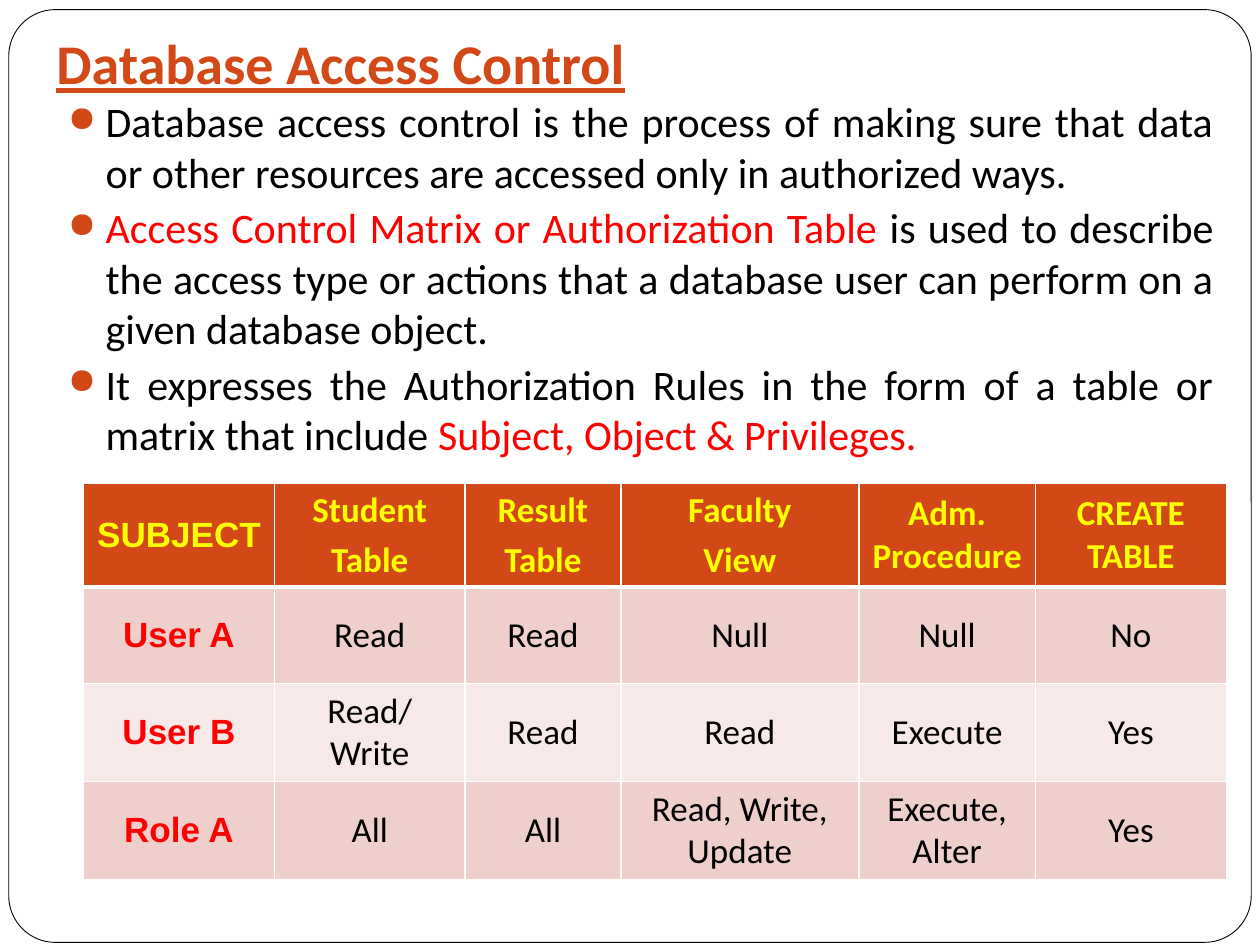
from dataclasses import dataclass

from lxml import etree
from pptx import Presentation
from pptx import util as u
from pptx.dml import color
from pptx.enum import shapes, text
from pptx.oxml import ns

ORANGE, RED, YELLOW = "D34817", "FF0000", "FFFF00"
BLACK, WHITE = "000000", "FFFFFF"
BANDS = ("EFCFCC", "F7E9E8")
CENTER = text.PP_ALIGN.CENTER


@dataclass(frozen=True)
class Style:
    size: float
    colour: str
    font: str = "Calibri"
    bold: bool = False
    underline: bool = False


@dataclass(frozen=True)
class Phrase:
    wording: str
    colour: str = BLACK


TITLE = Style(32, ORANGE, bold=True, underline=True)
HEADING = Style(20, YELLOW, bold=True)
CORNER = Style(20, YELLOW, "Arial", True)
SUBJECT = Style(20, RED, "Arial", True)
PRIVILEGE = Style(20, BLACK)

POINTS = [
    [Phrase("Database access control is the process of making sure that data or "
            "other resources are accessed only in authorized ways.")],
    [Phrase("Access Control Matrix or Authorization Table ", RED),
     Phrase("is used to describe the access type or actions that a database user "
            "can perform on a given database object.")],
    [Phrase("It expresses the Authorization Rules in the form of a table or matrix "
            "that include "),
     Phrase("Subject, Object & Privileges.", RED)],
]
MATRIX = [
    ["SUBJECT", "Student\nTable", "Result\nTable", "Faculty\nView",
     "Adm. Procedure", "CREATE TABLE"],
    ["User A", "Read", "Read", "Null", "Null", "No"],
    ["User B", "Read/\nWrite", "Read", "Read", "Execute", "Yes"],
    ["Role A", "All", "All", "Read, Write, Update", "Execute,\nAlter", "Yes"],
]
COLUMN_WIDTHS = (109, 109, 89, 136, 101, 109)
ROW_HEIGHTS = (59.5, 55, 56, 56)


def rgb(value: str) -> color.RGBColor:
    return color.RGBColor.from_string(value)


def format_run(run, style: Style) -> None:
    run.font.name = style.font
    run.font.size = u.Pt(style.size)
    run.font.bold = style.bold
    run.font.underline = style.underline
    run.font.color.rgb = rgb(style.colour)


def add_bullet(paragraph, colour: str) -> None:
    props = paragraph._p.get_or_add_pPr()
    props.set("marL", str(u.Pt(21.6)))
    props.set("indent", str(u.Pt(-21.6)))
    bullet_colour = etree.SubElement(props, ns.qn("a:buClr"))
    etree.SubElement(bullet_colour, ns.qn("a:srgbClr"), val=colour)
    etree.SubElement(props, ns.qn("a:buSzPct"), val="85000")
    etree.SubElement(props, ns.qn("a:buChar"), char="●")


def add_borders(cell, bottom_width: float) -> None:
    props = cell._tc.get_or_add_tcPr()
    for side, width in (("L", 1), ("R", 1), ("T", 1), ("B", bottom_width)):
        line = etree.SubElement(props, ns.qn(f"a:ln{side}"), w=str(u.Pt(width)))
        fill = etree.SubElement(line, ns.qn("a:solidFill"))
        etree.SubElement(fill, ns.qn("a:srgbClr"), val=WHITE)


def add_frame(slide) -> None:
    frame = slide.shapes.add_shape(shapes.MSO_SHAPE.ROUNDED_RECTANGLE,
                                   u.Pt(5), u.Pt(5.5), u.Pt(710), u.Pt(533))
    frame.shadow.inherit = False
    frame.adjustments[0] = 0.05
    frame.fill.solid()
    frame.fill.fore_color.rgb = rgb(WHITE)
    frame.line.color.rgb = rgb(BLACK)
    frame.line.width = u.Pt(0.5)


def add_title(slide, wording: str) -> None:
    title = slide.shapes.add_textbox(u.Pt(25.2), u.Pt(20.2), u.Pt(618), u.Pt(41.8)).text_frame
    title.word_wrap = True
    title.vertical_anchor = text.MSO_ANCHOR.BOTTOM
    title.margin_bottom = u.Pt(7.2)
    title.text = wording
    format_run(title.paragraphs[0].runs[0], TITLE)


def add_points(slide, points: list[list[Phrase]]) -> None:
    body = slide.shapes.add_textbox(u.Pt(31.7), u.Pt(51.1), u.Pt(669), u.Pt(479.5)).text_frame
    body.word_wrap = True
    for index, phrases in enumerate(points):
        paragraph = body.add_paragraph() if index else body.paragraphs[0]
        paragraph.alignment = text.PP_ALIGN.JUSTIFY
        if index:
            paragraph.space_before = u.Pt(3)
        add_bullet(paragraph, ORANGE)
        for phrase in phrases:
            run = paragraph.add_run()
            run.text = phrase.wording
            format_run(run, Style(24, phrase.colour))


def fill_cell(cell, wording: str, style: Style, background: str, is_header: bool) -> None:
    add_borders(cell, 3 if is_header else 1)
    cell.fill.solid()
    cell.fill.fore_color.rgb = rgb(background)
    cell.vertical_anchor = text.MSO_ANCHOR.MIDDLE
    cell.text_frame.text = wording
    for index, paragraph in enumerate(cell.text_frame.paragraphs):
        paragraph.alignment = CENTER
        if is_header and index:
            paragraph.space_before = u.Pt(4)
        for run in paragraph.runs:
            format_run(run, style)


def add_matrix(slide, rows: list[list[str]]) -> None:
    matrix = slide.shapes.add_table(len(rows), len(rows[0]), u.Pt(47.8), u.Pt(276),
                                    u.Pt(sum(COLUMN_WIDTHS)), u.Pt(sum(ROW_HEIGHTS))).table
    for column, width in zip(matrix.columns, COLUMN_WIDTHS):
        column.width = u.Pt(width)
    for r, (row, height) in enumerate(zip(rows, ROW_HEIGHTS)):
        matrix.rows[r].height = u.Pt(height)
        is_header = r == 0
        background = ORANGE if is_header else BANDS[(r - 1) % 2]
        first, others = (CORNER, HEADING) if is_header else (SUBJECT, PRIVILEGE)
        for c, wording in enumerate(row):
            fill_cell(matrix.cell(r, c), wording, others if c else first,
                      background, is_header)


def main() -> None:
    deck = Presentation()
    deck.slide_width, deck.slide_height = u.Pt(720), u.Pt(540)
    slide = deck.slides.add_slide(deck.slide_layouts[6])
    add_frame(slide)
    add_title(slide, "Database Access Control")
    add_points(slide, POINTS)
    add_matrix(slide, MATRIX)
    deck.save("out.pptx")


if __name__ == "__main__":
    main()
